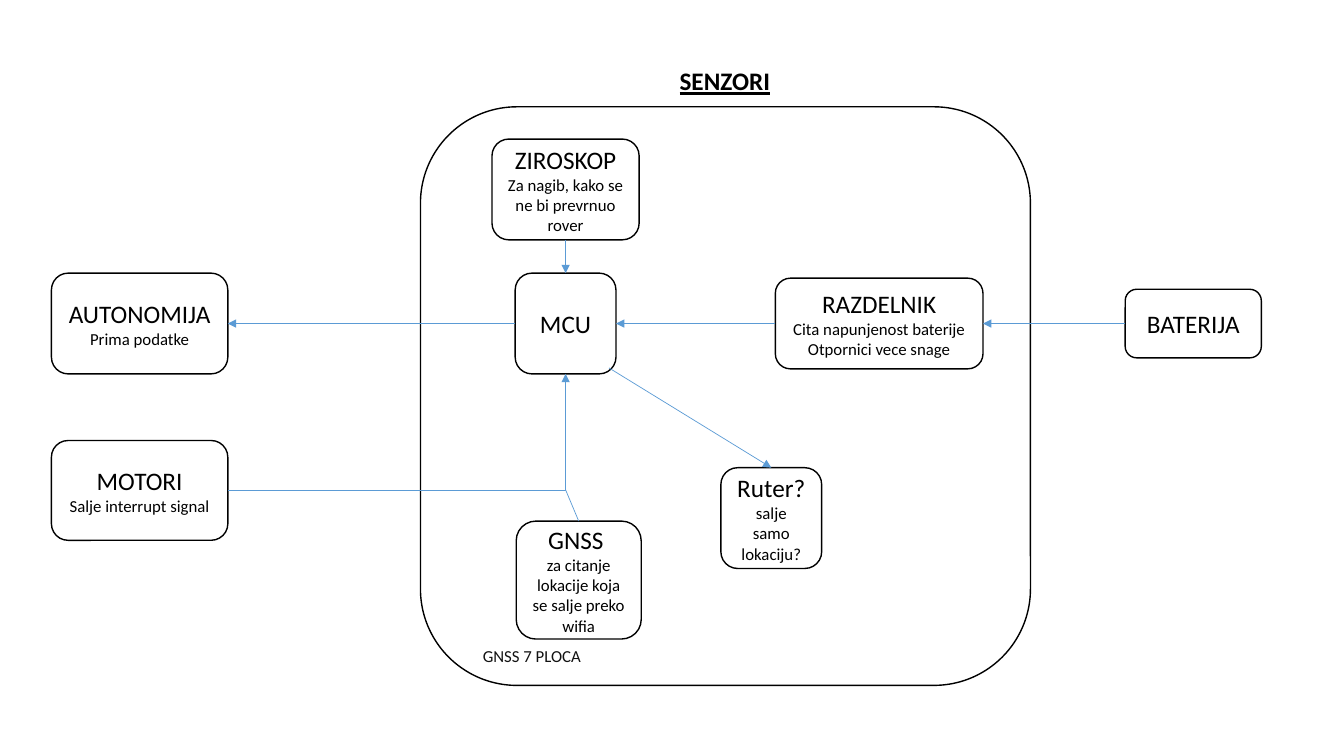
from pptx import Presentation
from pptx.dml.color import RGBColor
from pptx.enum.shapes import MSO_CONNECTOR as Conn, MSO_SHAPE as Shape
from pptx.enum.text import MSO_ANCHOR as Anchor, PP_ALIGN as Align
from pptx.oxml.ns import qn
from pptx.util import Pt
from lxml.etree import SubElement as Sub

PX = 9144  # 100 px to the inch
TOP, LEFT, BOTTOM, RIGHT = range(4)  # connection sites of a box


def color(code):
    return RGBColor.from_string(code)


class Board:
    font, ink, paper, wire = "Calibri", "000000", "FFFFFF", "5B9BD5"
    big, small = 18, 12

    def __init__(self, deck):
        self.slide = deck.slides.add_slide(deck.slide_layouts[5])
        self.shapes = self.slide.shapes

    def style(self, run, size, ink=None, bold=False, line=False):
        font = run.font
        font.name, font.size = self.font, Pt(size)
        font.bold, font.underline = bold, line
        font.color.rgb = color(ink or self.ink)

    def title(self, text, x, y, w, h):
        box = self.shapes.title
        box.left, box.top, box.width, box.height = (n * PX for n in (x, y, w, h))
        frame = box.text_frame
        frame.text = text
        frame.word_wrap = False
        frame.vertical_anchor = Anchor.TOP
        para = frame.paragraphs[0]
        para.alignment = Align.LEFT
        self.style(para.runs[0], self.big, bold=True, line=True)

    def box(self, x, y, w, h, text=""):
        """Rounded box: the first run is the name, the rest is detail."""
        box = self.shapes.add_shape(Shape.ROUNDED_RECTANGLE,
                                    x * PX, y * PX, w * PX, h * PX)
        box.shadow.inherit = False
        box.fill.solid()
        box.fill.fore_color.rgb = color(self.paper)
        box.line.color.rgb = color(self.ink)
        box.line.width = Pt(1)
        frame = box.text_frame
        frame.text = text
        frame.word_wrap = True
        frame.vertical_anchor = Anchor.MIDDLE
        for para in frame.paragraphs:
            para.alignment = Align.CENTER
        runs = [run for para in frame.paragraphs for run in para.runs]
        for i, run in enumerate(runs):
            self.style(run, self.small if i else self.big)
        return box

    def note(self, text, x, y, w, h, ink):
        box = self.shapes.add_textbox(x * PX, y * PX, w * PX, h * PX)
        frame = box.text_frame
        frame.text = text
        frame.word_wrap = True
        self.style(frame.paragraphs[0].runs[0], self.small, ink)

    def link(self, start, end, head=True, bent=False):
        """Each end is either (box, site) or a point (x, y)."""
        kind = Conn.ELBOW if bent else Conn.STRAIGHT
        line = self.shapes.add_connector(kind, *self.spot(start), *self.spot(end))
        for ends, glue in ((start, line.begin_connect), (end, line.end_connect)):
            if not isinstance(ends[0], int):
                glue(*ends)
        line.line.color.rgb = color(self.wire)
        line.line.width = Pt(0.5)
        props = line._element.spPr
        if bent:  # a single corner
            props.find(qn("a:prstGeom")).set("prst", "bentConnector2")
        if head:
            Sub(props.find(qn("a:ln")), qn("a:tailEnd"), type="triangle")
        Sub(props, qn("a:effectLst"))

    def spot(self, end):
        a, b = end
        if isinstance(a, int):
            return a * PX, b * PX
        midx, midy = a.left + a.width // 2, a.top + a.height // 2
        return ((midx, a.top), (a.left, midy),
                (midx, a.top + a.height), (a.left + a.width, midy))[b]


def main():
    deck = Presentation()
    deck.slide_width, deck.slide_height = 1333 * PX, 750 * PX
    board = Board(deck)

    # Sensor group
    board.title("SENZORI", 664, 60, 111, 40)
    board.box(417, 106, 605, 574)

    # Blocks
    power = board.box(1116, 287, 135, 68, "BATERIJA")
    mcu = board.box(511, 271, 100, 100, "MCU")
    split = board.box(769, 276, 206, 90,
                      "RAZDELNIK\nCita napunjenost baterije\nOtpornici vece snage")
    tilt = board.box(488, 138, 146, 100,
                     "ZIROSKOP\nZa nagib, kako se ne bi prevrnuo rover")
    auto = board.box(51, 271, 175, 100, "AUTONOMIJA\nPrima podatke")
    motor = board.box(51, 437, 175, 99, "MOTORI\nSalje interrupt signal")
    gnss = board.box(512, 517, 124, 117,
                     "GNSS \vza citanje lokacije koja se salje preko wifia")
    router = board.box(715, 464, 100, 100, "Ruter?\vsalje samo lokaciju?")
    board.note("GNSS 7 PLOCA", 469, 636, 125, 71, "121212")

    # Signals
    board.link((power, LEFT), (split, RIGHT))
    board.link((split, LEFT), (mcu, RIGHT))
    board.link((tilt, BOTTOM), (mcu, TOP))
    board.link((mcu, LEFT), (auto, RIGHT))
    board.link((motor, RIGHT), (mcu, BOTTOM), bent=True)
    board.link((gnss, TOP), (561, 486), head=False)
    board.link((604, 365), (router, TOP))

    deck.save("out.pptx")


if __name__ == "__main__":
    main()
